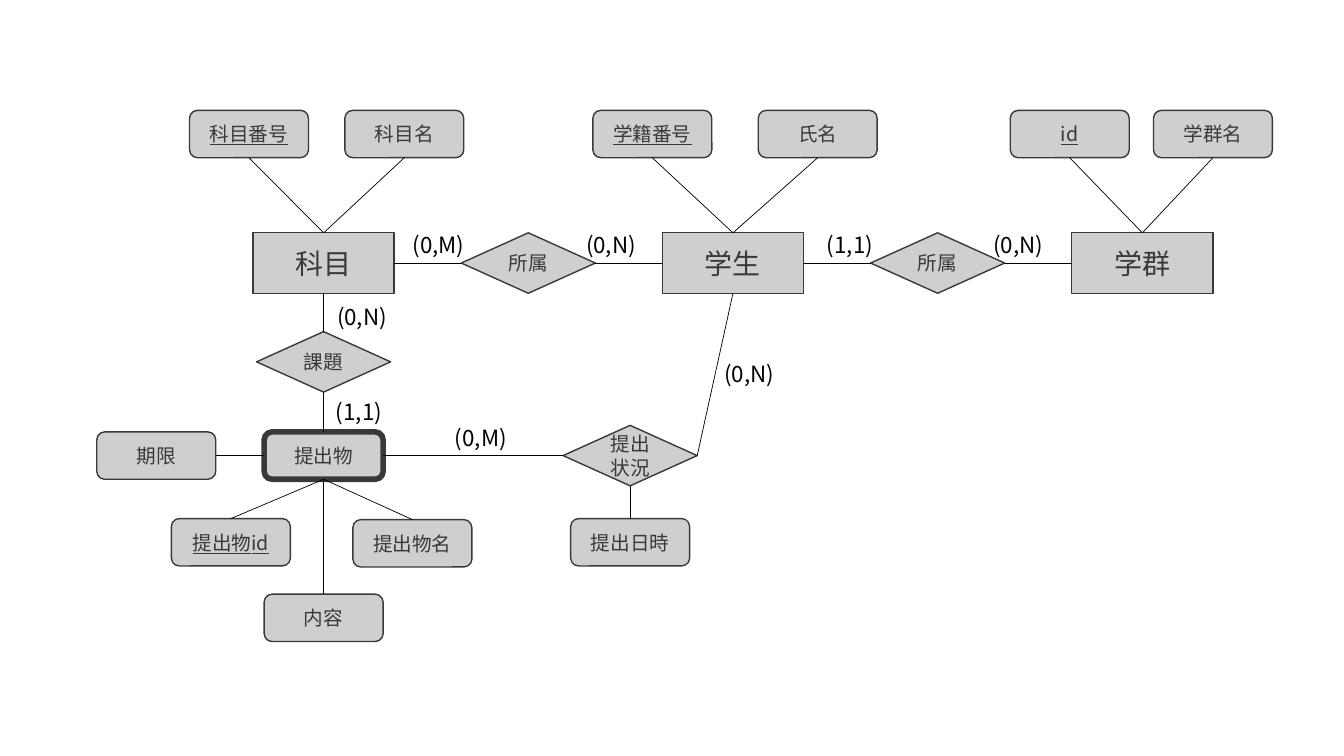
from lxml.etree import SubElement
from pptx import Presentation
from pptx.dml.color import RGBColor
from pptx.enum.shapes import MSO_CONNECTOR, MSO_SHAPE
from pptx.enum.text import MSO_ANCHOR, MSO_AUTO_SIZE, PP_ALIGN
from pptx.oxml.ns import qn
from pptx.util import Inches, Pt

FONT = "Noto Sans CJK JP"
COLORS = {"fill": "D0CECE", "ink": "3B3838", "black": "000000"}
TOP, LEFT, BOTTOM, RIGHT = range(4)

# Shape, width, height and text size of each kind of node
ENTITY = (MSO_SHAPE.RECTANGLE, 1.4, 0.6, 20)
RELATION = (MSO_SHAPE.FLOWCHART_DECISION, 1.33, 0.6, 14)
ATTRIBUTE = (MSO_SHAPE.ROUNDED_RECTANGLE, 1.18, 0.47, 14)

# Main row of entities
FIRST_X, ENTITY_Y, PITCH = 3.21, 2.61, 4.06


def color(name):
    return RGBColor.from_string(COLORS[name])


def write(box, text, size, ink, underline=False):
    frame = box.text_frame
    para = frame.paragraphs[0]
    para.alignment = PP_ALIGN.CENTER
    span = para.add_run()
    span.text = text
    font = span.font
    font.name, font.size, font.color.rgb = FONT, Pt(size), color(ink)
    if underline:
        font.underline = True
    SubElement(span.font._element, qn("a:ea"), typeface=FONT)


def add_node(page, kind, text, x, y, key=False, border=1):
    """Node centred on x, y; a key has its text underlined."""
    preset, width, height, size = kind
    node = page.shapes.add_shape(preset, Inches(x - width / 2), Inches(y - height / 2),
                                 Inches(width), Inches(height))
    node.shadow.inherit = False
    node.fill.solid()
    node.fill.fore_color.rgb = color("fill")
    node.line.color.rgb = color("ink")
    node.line.width = Pt(border)
    node.text_frame.word_wrap = True
    node.text_frame.vertical_anchor = MSO_ANCHOR.MIDDLE
    write(node, text, size, "ink", key)
    return node


def join(page, start, start_side, end, end_side):
    line = page.shapes.add_connector(MSO_CONNECTOR.STRAIGHT, 0, 0, 0, 0)
    line.begin_connect(start, start_side)
    line.end_connect(end, end_side)
    line.line.color.rgb = color("black")
    line.line.width = Pt(0.5)
    SubElement(line._element.spPr, qn("a:effectLst"))


def add_cardinality(page, text, x, y):
    width, height = 0.74, 0.37
    label = page.shapes.add_textbox(Inches(x - width / 2), Inches(y - height / 2),
                                    Inches(width), Inches(height))
    label.text_frame.word_wrap = False
    label.text_frame.auto_size = MSO_AUTO_SIZE.SHAPE_TO_FIT_TEXT
    write(label, text, 16, "black")


def add_entity(page, x, y, name, key, key_dx, other, other_dx):
    """Entity with its key and one more attribute above it."""
    entity = add_node(page, ENTITY, name, x, y)
    for text, dx, is_key in ((key, key_dx, True), (other, other_dx, False)):
        attribute = add_node(page, ATTRIBUTE, text, x + dx, y - 1.28, is_key)
        join(page, attribute, BOTTOM, entity, TOP)
    return entity


def add_membership(page, x, y, left, right, left_label, right_label):
    """Diamond between two neighbouring entities."""
    relation = add_node(page, RELATION, "所属", x, y)
    join(page, left, RIGHT, relation, LEFT)
    join(page, relation, RIGHT, right, LEFT)
    for text, dx in (left_label, right_label):
        add_cardinality(page, text, x + dx, y - 0.18)


def add_submission(page, x, y, subject):
    """Submission below its subject, with its attributes around it."""
    submission = add_node(page, ATTRIBUTE, "提出物", x, y, border=4)
    assignment = add_node(page, RELATION, "課題", x, y - 0.93)
    join(page, subject, BOTTOM, assignment, TOP)
    join(page, assignment, BOTTOM, submission, TOP)
    add_cardinality(page, "(0,N)", x + 0.38, y - 1.38)
    add_cardinality(page, "(1,1)", x + 0.35, y - 0.43)

    for text, dx, dy, key, side, far_side in (
        ("期限", -1.66, 0, False, LEFT, RIGHT),
        ("提出物id", -0.92, 0.86, True, BOTTOM, TOP),
        ("提出物名", 0.88, 0.87, False, BOTTOM, TOP),
        ("内容", 0, 1.61, False, BOTTOM, TOP),
    ):
        attribute = add_node(page, ATTRIBUTE, text, x + dx, y + dy, key)
        join(page, submission, side, attribute, far_side)
    return submission


def add_status(page, x, y, submission, student):
    """Submission status between a submission and a student."""
    status = add_node(page, RELATION, "提出状況", x, y)
    date = add_node(page, ATTRIBUTE, "提出日時", x, y + 0.86)
    join(page, submission, RIGHT, status, LEFT)
    join(page, status, RIGHT, student, BOTTOM)
    join(page, status, BOTTOM, date, TOP)
    add_cardinality(page, "(0,M)", x - 1.48, y - 0.18)
    add_cardinality(page, "(0,N)", x + 1.18, y - 0.81)


def main():
    deck = Presentation()
    deck.slide_width, deck.slide_height = Inches(13.33), Inches(7.5)
    page = deck.slides.add_slide(deck.slide_layouts[6])

    # Entities
    subject, student, group = [
        add_entity(page, FIRST_X + column * PITCH, ENTITY_Y, *parts)
        for column, parts in enumerate((
            ("科目", "科目番号", -0.74, "科目名", 0.8),
            ("学生", "学籍番号", -0.8, "氏名", 0.84),
            ("学群", "id", -0.72, "学群名", 0.7),
        ))
    ]

    # Memberships, midway between the entities
    middle = FIRST_X + PITCH / 2
    add_membership(page, middle, ENTITY_Y, subject, student, ("(0,M)", -0.89), ("(0,N)", 0.82))
    add_membership(page, middle + PITCH, ENTITY_Y, student, group, ("(1,1)", -0.87), ("(0,N)", 0.8))

    # Submissions
    submission = add_submission(page, FIRST_X, 4.52, subject)
    add_status(page, 6.25, 4.52, submission, student)

    deck.save("out.pptx")


if __name__ == "__main__":
    main()
